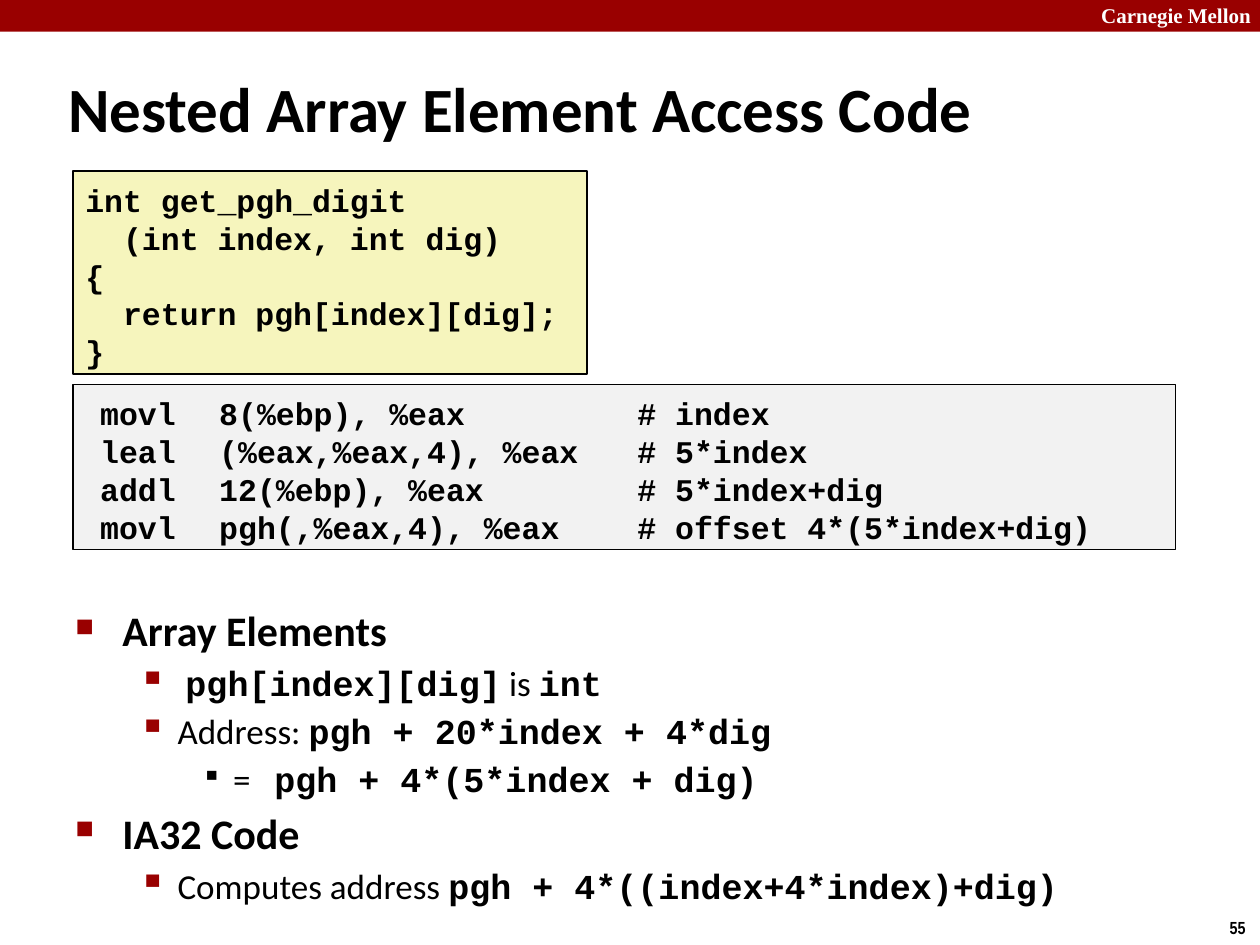
from lxml.etree import SubElement
from pptx import Presentation
from pptx.dml.color import RGBColor
from pptx.enum.shapes import MSO_SHAPE as Shape
from pptx.enum.text import MSO_ANCHOR as Anchor, MSO_AUTO_SIZE as Fit, PP_ALIGN as Align
from pptx.oxml.ns import qn
from pptx.util import Cm, Pt

SANS, MONO = "Calibri", "Courier New"
RED, BLACK, WHITE = "990000", "000000", "FFFFFF"

# Per level: text indent (cm), hang (cm), bullet, its colour, its size %, space before (pt)
LEVELS = [
    (0.95, 0.95, "■", RED, 60, 4.5),
    (2.06, 0.79, "▪", RED, 110, 3.5),
    (3.18, 0.64, "▪", BLACK, 80, 3.5),
]

CODE = [
    "int get_pgh_digit",
    "  (int index, int dig)",
    "{",
    "  return pgh[index][dig];",
    "}",
]
ASM = [
    ("movl", "8(%ebp), %eax", "# index"),
    ("leal", "(%eax,%eax,4), %eax", "# 5*index"),
    ("addl", "12(%ebp), %eax", "# 5*index+dig"),
    ("movl", "pgh(,%eax,4), %eax", "# offset 4*(5*index+dig)"),
]
ASM_TABS = (0.3, 2.7, 11.13)

# Level, then runs of text, font, bold and, where needed, letter spacing (pt)
POINTS = [
    (0, [("Array Elements", SANS, True)]),
    (1, [(" ", SANS, True), ("pgh[index][dig]", MONO, True),
         (" is ", SANS, False), ("int", MONO, True)]),
    (1, [("Address: ", SANS, False), ("pgh + 20*index + 4*dig", MONO, True)]),
    (2, [("= ", SANS, False, 4.5), ("pgh + 4*(5*index + dig)", MONO, True)]),
    (0, [("IA32 Code", SANS, True)]),
    (1, [("Computes address ", SANS, False),
         ("pgh + 4*((index+4*index)+dig)", MONO, True)]),
]


def rgb(code):
    return RGBColor.from_string(code)


class Deck:
    def __init__(self, wide, high):
        self.prs = Presentation()
        self.prs.slide_width, self.prs.slide_height = Cm(wide), Cm(high)
        self.slide = self.prs.slides.add_slide(self.prs.slide_layouts[5])

    def run(self, para, text, size, font=SANS, bold=True, color=BLACK, gap=0):
        run = para.add_run()
        run.text = text
        style = run.font
        style.name, style.size, style.bold = font, Pt(size), bold
        style.color.rgb = rgb(color)
        if gap:
            run._r.get_or_add_rPr().set("spc", str(int(gap * 100)))

    def paras(self, frame, items):
        """Yield a paragraph with each item, the first being the frame's own."""
        for i, item in enumerate(items):
            yield (frame.add_paragraph() if i else frame.paragraphs[0]), item

    def title(self, text, *box):
        shape = self.slide.shapes.title
        shape.left, shape.top, shape.width, shape.height = map(Cm, box)
        frame = shape.text_frame
        frame.auto_size, frame.vertical_anchor = Fit.NONE, Anchor.MIDDLE
        para = frame.paragraphs[0]
        para.alignment = Align.LEFT
        self.run(para, text, 36)

    def text(self, *box, wrap=True):
        frame = self.slide.shapes.add_textbox(*map(Cm, box)).text_frame
        frame.word_wrap = wrap
        return frame

    def label(self, text, size, font, color, *box):
        frame = self.text(*box, wrap=False)
        self.run(frame.paragraphs[0], text, size, font, color=color)

    def rect(self, fill, *box, line=None):
        shape = self.slide.shapes.add_shape(Shape.RECTANGLE, *map(Cm, box))
        shape.shadow.inherit = False
        shape.fill.solid()
        shape.fill.fore_color.rgb = rgb(fill)
        if line:
            shape.line.color.rgb = rgb(line)
            shape.line.width = Pt(1)
        else:
            shape.line.fill.background()
        return shape

    def code(self, lines, fill, *box, tabs=()):
        frame = self.rect(fill, *box, line=BLACK).text_frame
        frame.vertical_anchor = Anchor.TOP
        frame.margin_top = Cm(0.2)
        for para, line in self.paras(frame, lines):
            if tabs:
                stops = SubElement(para._p.get_or_add_pPr(), qn("a:tabLst"))
                for stop in tabs:
                    SubElement(stops, qn("a:tab"), pos=str(Cm(stop)), algn="l")
            para.alignment = Align.LEFT
            para.line_spacing = Pt(21.6)
            self.run(para, line, 18, MONO)

    def bullet(self, para, level):
        indent, hang, mark, color, size, _ = LEVELS[level]
        props = para._p.get_or_add_pPr()
        props.set("marL", str(Cm(indent)))
        props.set("indent", str(-Cm(hang)))
        tint = SubElement(props, qn("a:buClr"))
        SubElement(tint, qn("a:srgbClr"), val=color)
        SubElement(props, qn("a:buSzPct"), val=str(size * 1000))
        SubElement(props, qn("a:buChar"), char=mark)

    def points(self, items, *box):
        frame = self.text(*box)
        for i, (para, (level, runs)) in enumerate(self.paras(frame, items)):
            self.bullet(para, level)
            para.level = level
            if i:
                para.space_before = Pt(LEVELS[level][-1])
            for text, font, bold, *gap in runs:
                self.run(para, text, 20 if level else 24, font, bold,
                         gap=gap[0] if gap else 0)


def main():
    deck = Deck(25.4, 19.05)
    deck.rect(RED, 0, 0, 25.4, 0.64)
    deck.label("Carnegie Mellon", 12, "Times New Roman", WHITE, 21.95, -0.08, 3.63, 0.76)
    deck.label("55", 10, "Arial Narrow", BLACK, 24.54, 18.36, 0.86, 0.69)
    deck.title("Nested Array Element Access Code", 1.12, 1.37, 23.01, 1.6)
    deck.points(POINTS, 1.27, 12.07, 23.11, 6.86)
    deck.code(CODE, "F6F5BD", 1.47, 3.45, 10.36, 4.09)
    rows = ["\t" + "\t".join(row) for row in ASM]
    deck.code(rows, "F2F2F2", 1.47, 7.75, 22.23, 3.33, tabs=ASM_TABS)
    deck.prs.save("out.pptx")


if __name__ == "__main__":
    main()
